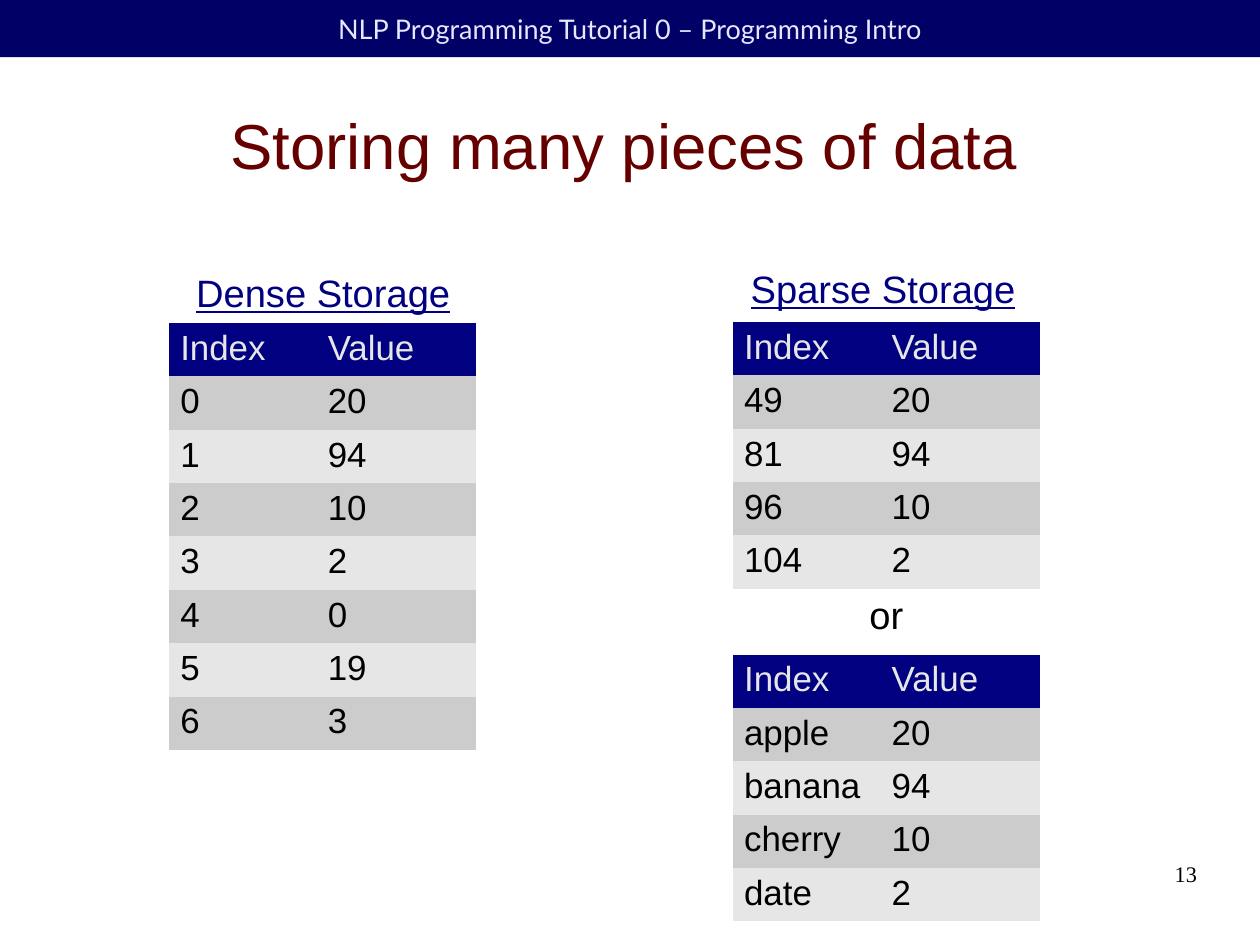
from collections import namedtuple
from dataclasses import dataclass

from pptx import Presentation
from pptx import util as u
from pptx.dml.color import RGBColor
from pptx.enum import shapes, text

Box = namedtuple("Box", "left top width height")


@dataclass(frozen=True)
class Theme:
    """Colours, fonts and type sizes of the slide."""
    banner: str = "000066"
    banner_text: str = "E6E6FF"
    title: str = "660000"
    navy: str = "000080"
    head_text: str = "E6E6E6"
    ink: str = "000000"
    bands: tuple = ("CCCCCC", "E6E6E6")
    sans: str = "Arial"
    banner_font: str = "Lato"
    serif: str = "Times New Roman"
    title_size: int = 40
    heading_size: int = 24
    cell_size: int = 22
    banner_size: int = 17
    number_size: int = 14


THEME = Theme()
WIDTH, HEIGHT = u.Cm(28), u.Cm(21)
ROW = 5.64
HEADING_HEIGHT = 5.68
KEY_SHARE = 0.48
PLAIN_TABLE = "{2D5ABB26-0587-4C30-8999-92F81FD0307C}"


def place(box):
    """Turn a box in percent of the slide into lengths."""
    return (int(WIDTH * box.left / 100), int(HEIGHT * box.top / 100),
            int(WIDTH * box.width / 100), int(HEIGHT * box.height / 100))


def write(frame, words, *, size, color, font=THEME.sans, align=text.PP_ALIGN.LEFT,
          anchor=text.MSO_ANCHOR.TOP, underline=False, margins=(0.1, 0.05)):
    """Put one formatted paragraph into a text frame."""
    frame.word_wrap = True
    frame.vertical_anchor = anchor
    frame.margin_left = frame.margin_right = u.Inches(margins[0])
    frame.margin_top = frame.margin_bottom = u.Inches(margins[1])
    write_paragraph(frame.paragraphs[0], words, size=size, color=color, font=font,
                    align=align, underline=underline)


def write_paragraph(paragraph, words, *, size, color, font=THEME.sans,
                    align=text.PP_ALIGN.LEFT, underline=False):
    """Add one formatted run to a paragraph."""
    paragraph.alignment = align
    run = paragraph.add_run()
    run.text = words
    run.font.name = font
    run.font.size = u.Pt(size)
    run.font.underline = underline
    run.font.color.rgb = RGBColor.from_string(color)


def add_label(slide, box, words, **style):
    """Add a text box holding one paragraph."""
    write(slide.shapes.add_textbox(*place(box)).text_frame, words, **style)


def add_banner(slide, box, words):
    """Add the filled strip that names the tutorial."""
    shape = slide.shapes.add_shape(shapes.MSO_SHAPE.RECTANGLE, *place(box))
    shape.shadow.inherit = False
    shape.fill.solid()
    shape.fill.fore_color.rgb = RGBColor.from_string(THEME.banner)
    shape.line.fill.background()
    write(shape.text_frame, words, size=THEME.banner_size, color=THEME.banner_text,
          font=THEME.banner_font, align=text.PP_ALIGN.CENTER,
          anchor=text.MSO_ANCHOR.MIDDLE)


def add_title(slide, box, words):
    """Move and format the title placeholder."""
    title = slide.shapes.title
    title.left, title.top, title.width, title.height = place(box)
    title.text_frame.auto_size = text.MSO_AUTO_SIZE.NONE
    write(title.text_frame, words, size=THEME.title_size, color=THEME.title,
          align=text.PP_ALIGN.CENTER, anchor=text.MSO_ANCHOR.MIDDLE, margins=(0, 0))


def add_data_table(slide, box, entries):
    """Add an index and value table with banded rows and no grid."""
    rows = [("Index", "Value"), *entries]
    left, top, width, height = place(box._replace(height=ROW * len(rows)))
    table = slide.shapes.add_table(len(rows), 2, left, top, width, height).table
    table._tbl.tblPr[0].text = PLAIN_TABLE
    table.columns[0].width = int(width * KEY_SHARE)
    table.columns[1].width = width - int(width * KEY_SHARE)
    for index, values in enumerate(rows):
        fill = THEME.bands[(index - 1) % 2] if index else THEME.navy
        color = THEME.ink if index else THEME.head_text
        for cell, value in zip(table.rows[index].cells, values):
            cell.fill.solid()
            cell.fill.fore_color.rgb = RGBColor.from_string(fill)
            write_paragraph(cell.text_frame.paragraphs[0], value,
                            size=THEME.cell_size, color=color)


def add_storage(slide, box, heading, tables, *, indent, drop):
    """Stack a heading and its tables, with "or" between neighbours."""
    add_label(slide, Box(box.left + indent, box.top, box.width, HEADING_HEIGHT),
              heading, size=THEME.heading_size, color=THEME.navy, underline=True)
    top = box.top + drop
    for position, entries in enumerate(tables):
        if position:
            add_label(slide, Box(box.left, top - 0.27, box.width, HEADING_HEIGHT), "or",
                      size=THEME.heading_size, color=THEME.ink,
                      align=text.PP_ALIGN.CENTER)
            top += 6.99
        add_data_table(slide, box._replace(top=top), entries)
        top += ROW * (len(entries) + 1)


def add_page_number(slide, box, words):
    """Add the page number at the lower right."""
    add_label(slide, box, words, size=THEME.number_size, color=THEME.ink,
              font=THEME.serif, align=text.PP_ALIGN.RIGHT, margins=(0, 0))


def main():
    """Build and save the slide."""
    presentation = Presentation()
    presentation.slide_width, presentation.slide_height = WIDTH, HEIGHT
    slide = presentation.slides.add_slide(presentation.slide_layouts[5])
    dense = list(zip("0123456", ("20", "94", "10", "2", "0", "19", "3")))
    values = ("20", "94", "10", "2")
    sparse = [list(zip(keys, values)) for keys in (
        ("49", "81", "96", "104"), ("apple", "banana", "cherry", "date"))]

    add_banner(slide, Box(0, 0, 100, 6.05),
               "NLP Programming Tutorial 0 – Programming Intro")
    add_title(slide, Box(4.5, 7.55, 90, 15.36), "Storing many pieces of data")
    add_storage(slide, Box(13.4, 27.9, 24.4, 53), "Dense Storage", [dense],
                indent=1.27, drop=6.27)
    add_storage(slide, Box(58.15, 27.5, 24.4, 70), "Sparse Storage", sparse,
                indent=0.54, drop=6.57)
    add_page_number(slide, Box(71.7, 91.05, 23.3, 6.89), "13")
    presentation.save("out.pptx")


if __name__ == "__main__":
    main()
